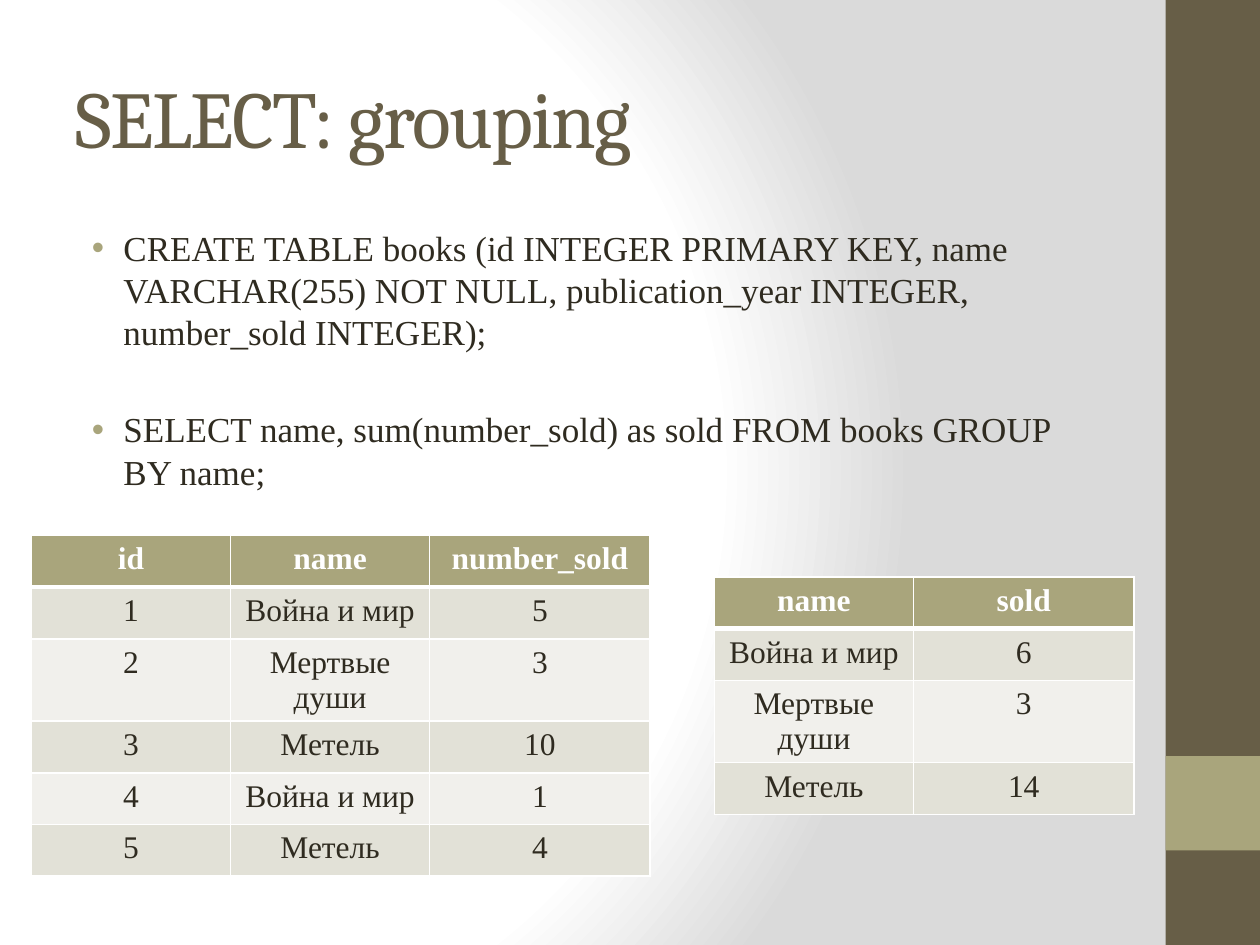
from lxml import etree
from pptx import Presentation
from pptx.dml.color import RGBColor
from pptx.enum.shapes import MSO_SHAPE
from pptx.enum.text import MSO_ANCHOR, MSO_AUTO_SIZE, PP_ALIGN
from pptx.oxml import parse_xml
from pptx.util import Inches, Pt

RECTANGLE = MSO_SHAPE.RECTANGLE
MIDDLE, TOP = MSO_ANCHOR.MIDDLE, MSO_ANCHOR.TOP
NO_AUTOFIT = MSO_AUTO_SIZE.NONE
LEFT, CENTER = PP_ALIGN.LEFT, PP_ALIGN.CENTER

BROWN = RGBColor(0x67, 0x5E, 0x47)
OLIVE = RGBColor(0xA9, 0xA5, 0x7C)
INK = RGBColor(0x2F, 0x2B, 0x20)
WHITE = RGBColor(0xFF, 0xFF, 0xFF)
GRAY = RGBColor(0xDA, 0xDA, 0xDA)
DARK_BAND = RGBColor(0xE2, 0xE1, 0xD7)
LIGHT_BAND = RGBColor(0xF1, 0xF0, 0xEC)
HEADING_FONT, BODY_FONT = "Cambria", "Times New Roman"
NAMESPACE = "http://schemas.openxmlformats.org/drawingml/2006/main"


def add_span(para, text, font, size, color, bold=False):
    """Add one formatted run to a paragraph and return it."""
    span = para.add_run()
    span.text = text
    span.font.name, span.font.size, span.font.bold = font, Pt(size), bold
    span.font.color.rgb = color
    return span


def add_grid(page, left, top, widths, rows):
    """Add a banded table with white borders and a header row."""
    row_height = 0.41
    frame = page.shapes.add_table(
        len(rows), len(widths), Inches(left), Inches(top),
        Inches(sum(widths)), Inches(row_height * len(rows)))
    grid = frame.table
    for column, width in zip(grid.columns, widths):
        column.width = Inches(width)
    for r, values in enumerate(rows):
        grid.rows[r].height = Inches(row_height)
        header = r == 0
        band = OLIVE if header else DARK_BAND if r % 2 else LIGHT_BAND
        for c, value in enumerate(values):
            cell = grid.cell(r, c)
            cell.fill.solid()
            cell.fill.fore_color.rgb = band
            para = cell.text_frame.paragraphs[0]
            para.alignment = CENTER
            add_span(para, value, BODY_FONT, 18, WHITE if header else INK, header)
            properties = cell._tc.get_or_add_tcPr()
            for position, side in enumerate("LRTB"):
                thick = (r, side) in ((0, "B"), (1, "T"))
                properties.insert(position, parse_xml(
                    f'<a:ln{side} xmlns:a="{NAMESPACE}" w="{Pt(3 if thick else 1)}">'
                    f'<a:solidFill><a:srgbClr val="{WHITE}"/></a:solidFill></a:ln{side}>'))


deck = Presentation()
deck.slide_width, deck.slide_height = Inches(10), Inches(7.5)
page = deck.slides.add_slide(deck.slide_layouts[1])

# Background
page.background.fill.solid()
plain_fill = page.element.xpath(".//p:bgPr/a:solidFill")[0]
stops = "".join(
    f'<a:gs pos="{position * 1000}"><a:srgbClr val="{color}"/></a:gs>'
    for position, color in ((0, WHITE), (75, WHITE), (100, GRAY)))
plain_fill.getparent().replace(plain_fill, parse_xml(
    f'<a:gradFill xmlns:a="{NAMESPACE}" rotWithShape="1"><a:gsLst>{stops}</a:gsLst>'
    '<a:path path="circle"><a:fillToRect l="20000" t="50000" r="100000" b="50000"/>'
    '</a:path></a:gradFill>'))

# Side bar
for top, height, color in ((0, 7.5, BROWN), (6, 0.75, OLIVE)):
    bar = page.shapes.add_shape(
        RECTANGLE, Inches(9.25), Inches(top), Inches(0.75), Inches(height))
    bar.shadow.inherit = False
    bar.fill.solid()
    bar.fill.fore_color.rgb = color
    bar.line.fill.background()

# Title and statements
title, body = page.shapes.title, page.placeholders[1]
for box, top, height, anchor in ((title, 0.3, 1.25, MIDDLE), (body, 1.75, 2.25, TOP)):
    box.left, box.top = Inches(0.5), Inches(top)
    box.width, box.height = Inches(8.33), Inches(height)
    box.text_frame.word_wrap = True
    box.text_frame.auto_size = NO_AUTOFIT
    box.text_frame.vertical_anchor = anchor

heading = title.text_frame.paragraphs[0]
heading.alignment = LEFT
span = add_span(heading, "SELECT: grouping", HEADING_FONT, 46, BROWN)
span.font._element.set("spc", "-100")

statements = [
    ("CREATE TABLE books (id INTEGER PRIMARY KEY, name VARCHAR(255) NOT NULL, "
     "publication_year INTEGER, number_sold INTEGER);", 0),
    ("SELECT name, sum(number_sold) as sold FROM books GROUP BY name;", 31.5),
]
for index, (statement, gap) in enumerate(statements):
    para = body.text_frame.paragraphs[0] if index == 0 else body.text_frame.add_paragraph()
    para.line_spacing, para.space_before = Pt(24), Pt(gap)
    add_span(para, statement, BODY_FONT, 20, INK)
    properties = para._p.get_or_add_pPr()
    properties.set("marL", str(Inches(0.38)))
    properties.set("indent", str(Inches(-0.25)))
    bullet_color = etree.SubElement(properties, f"{{{NAMESPACE}}}buClr")
    etree.SubElement(bullet_color, f"{{{NAMESPACE}}}srgbClr", val=str(OLIVE))
    etree.SubElement(properties, f"{{{NAMESPACE}}}buFont", typeface="Arial")
    etree.SubElement(properties, f"{{{NAMESPACE}}}buChar", char="•")

# Tables
add_grid(page, 0.25, 4.25, [1.58, 1.58, 1.75], [
    ("id", "name", "number_sold"),
    ("1", "Война и мир", "5"),
    ("2", "Мертвые души", "3"),
    ("3", "Метель", "10"),
    ("4", "Война и мир", "1"),
    ("5", "Метель", "4"),
])
add_grid(page, 5.67, 4.58, [1.58, 1.75], [
    ("name", "sold"),
    ("Война и мир", "6"),
    ("Мертвые души", "3"),
    ("Метель", "14"),
])

deck.save("out.pptx")
